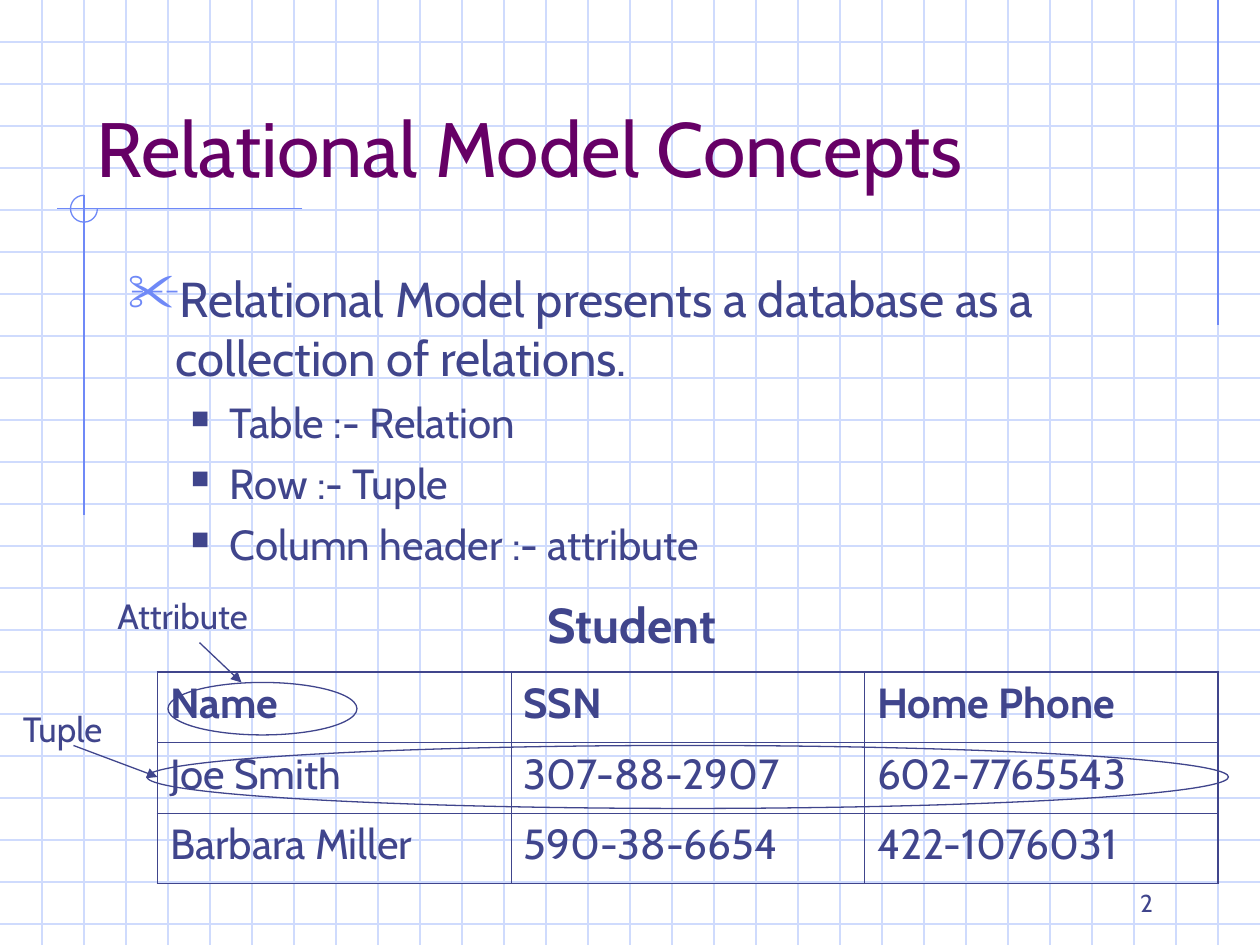
from lxml import etree
from pptx import Presentation, util as u
from pptx.dml.color import RGBColor
from pptx.enum import shapes, text
from pptx.oxml.ns import qn

INK, RULE, GRID, PLUM = "40458C", "6F89F7", "CFDBFD", "660066"
color = RGBColor.from_string

deck = Presentation()
deck.slide_width, deck.slide_height = u.Inches(10), u.Inches(7.5)
slide = deck.slides.add_slide(deck.slide_layouts[6])

# The paper is ruled in squares: 30 across, 22.5 down
COLS, ROWS = 30, 22.5
SQUARE = deck.slide_width / COLS


def draw_line(x1, y1, x2, y2, hue):
    line = slide.shapes.add_connector(
        shapes.MSO_CONNECTOR.STRAIGHT, *(round(v * SQUARE) for v in (x1, y1, x2, y2)))
    line.line.color.rgb = color(hue)
    line.line.width = u.Pt(0.75)
    etree.SubElement(line._element.spPr, qn("a:effectLst"))
    return line


def write(paragraph, words, size, hue=INK, bold=False, before=0, bullet=None):
    paragraph.text = words
    paragraph.space_before = u.Pt(before)
    if bullet:
        mark, mark_hue, percent, margin, hang = bullet
        props = paragraph._p.get_or_add_pPr()
        props.set("marL", str(u.Inches(margin)))
        props.set("indent", str(u.Inches(-hang)))
        bullet_color = etree.SubElement(props, qn("a:buClr"))
        etree.SubElement(bullet_color, qn("a:srgbClr"), val=mark_hue)
        etree.SubElement(props, qn("a:buSzPct"), val=str(percent * 1000))
        etree.SubElement(props, qn("a:buChar"), char=mark)
    font = paragraph.font
    font.name, font.size, font.bold = "Cabin", u.Pt(size), bold
    font.color.rgb = color(hue)


# Graph paper
for row in range(1, 23):
    draw_line(0, row, COLS, row, GRID)
for col in range(1, COLS):
    draw_line(col, 0, col, ROWS, GRID)

# Margin rules and the three-quarter circle where they cross
for ends in ((29, 0, 29, 7.75), (7.2, 4.97, 1.36, 4.97), (2, 4.65, 2, 12.27)):
    draw_line(*ends, RULE)
crossing = slide.shapes.add_shape(
    shapes.MSO_SHAPE.ARC, *(round(v * SQUARE) for v in (1.68, 4.65, 0.64, 0.64)))
crossing.adjustments[0], crossing.adjustments[1] = 0, 162  # right side round to the top
crossing.shadow.inherit = False
crossing.fill.background()
crossing.line.color.rgb = color(RULE)
crossing.line.width = u.Pt(0.75)

# Title, body, captions and page number: box in squares, anchor, alignment, paragraphs
TOP, BOTTOM = text.MSO_ANCHOR.TOP, text.MSO_ANCHOR.BOTTOM
LEFT, RIGHT = text.PP_ALIGN.LEFT, text.PP_ALIGN.RIGHT
scissors = ("✂", RULE, 110, 0.38, 0.38)
block = ("■", INK, 60, 0.81, 0.31)
point = dict(size=24, before=6, bullet=block)
boxes = {
    "page": ((21.5, 20.5, 6.25, 1.5), BOTTOM, RIGHT, [dict(words="2", size=14)]),
    "title": ((2, 1, 25.5, 3.75), BOTTOM, LEFT,
              [dict(words="Relational Model Concepts", size=44, hue=PLUM)]),
    "body": ((2.75, 6.25, 25.5, 7.75), TOP, LEFT, [
        dict(words="Relational Model presents a database as a collection of relations.",
             size=28, before=7, bullet=scissors),
        dict(words="Table :- Relation", **point),
        dict(words="Row :- Tuple", **point),
        dict(words="Column header :- attribute", **point)]),
    "student": ((12.75, 14, 5.5, 1.7), TOP, LEFT,
                [dict(words="Student", size=28, bold=True, before=17.5)]),
    "attribute": ((2.5, 14, 4.5, 1.3), TOP, LEFT,
                  [dict(words="Attribute", size=20, before=12.5)]),
    "tuple": ((0.25, 16.7, 2.75, 2.3), TOP, LEFT,
              [dict(words="Tuple", size=20, before=12.5)]),
}
placed = {}
for part, (place, anchor, align, paragraphs) in boxes.items():
    placed[part] = slide.shapes.add_textbox(*(round(v * SQUARE) for v in place))
    frame = placed[part].text_frame
    frame.word_wrap = True
    frame.vertical_anchor = anchor
    for i, wording in enumerate(paragraphs):
        paragraph = frame.add_paragraph() if i else frame.paragraphs[0]
        write(paragraph, **wording)
        paragraph.alignment = align

# Student table
students = [("Name", "SSN", "Home Phone"),
            ("Joe Smith", "307-88-2907", "602-7765543"),
            ("Barbara Miller", "590-38-6654", "422-1076031")]
last = len(students) - 1
relation = slide.shapes.add_table(
    3, 3, *(round(v * SQUARE) for v in (3.75, 16, 25.25, 5.04))).table
relation.first_row = relation.horz_banding = False
for r, record in enumerate(students):
    for c, value in enumerate(record):
        cell = relation.cell(r, c)
        write(cell.text_frame.paragraphs[0], value, 24, bold=r == 0, before=6)
        # Outer edges are heavier than inner ones
        props = cell._tc.get_or_add_tcPr()
        for side, outer in (("L", c == 0), ("R", c == last), ("T", r == 0), ("B", r == last)):
            edge = etree.SubElement(props, qn("a:ln" + side),
                                    w=str(u.Pt(1.08 if outer else 0.45)))
            fill = etree.SubElement(edge, qn("a:solidFill"))
            etree.SubElement(fill, qn("a:srgbClr"), val=INK)
        cell.fill.background()

# Rings around the attribute and the tuple
for place in ((4, 16.25, 4.5, 1.25), (3.5, 17.75, 25.75, 1.5)):
    ring = slide.shapes.add_shape(
        shapes.MSO_SHAPE.OVAL, *(round(v * SQUARE) for v in place))
    ring.shadow.inherit = False
    ring.fill.background()
    ring.line.color.rgb = color(INK)
    ring.line.width = u.Pt(0.75)

# Arrows from the captions to the rings
attribute_arrow = draw_line(4.75, 15.25, 5.75, 16.25, INK)
attribute_arrow.begin_connect(placed["attribute"], 2)
tuple_arrow = draw_line(1.75, 17.75, 3.75, 18.5, INK)
for arrow in (attribute_arrow, tuple_arrow):
    etree.SubElement(arrow.line._get_or_add_ln(), qn("a:tailEnd"), type="triangle")

deck.save("out.pptx")
